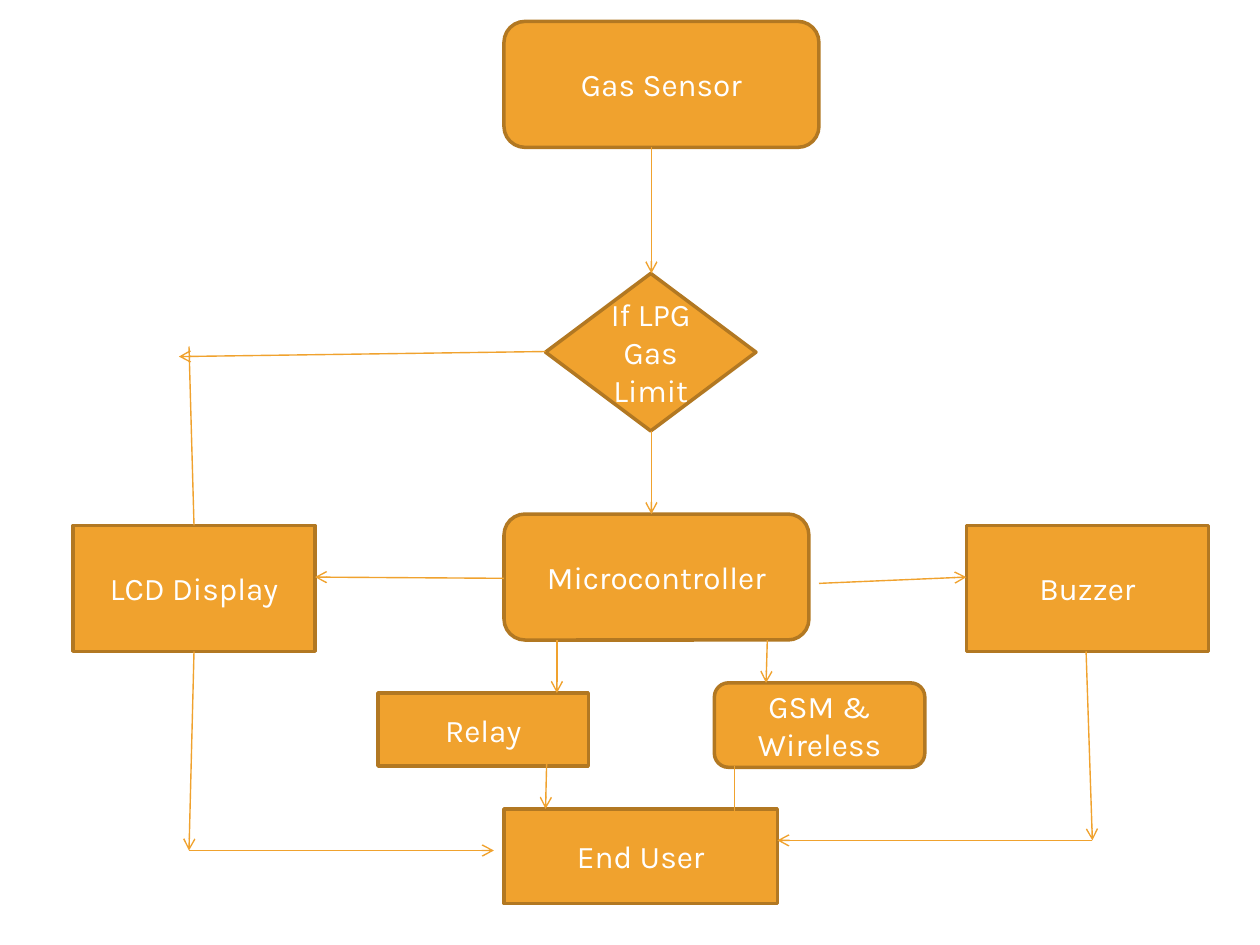
import pptx
import pptx.dml.color
import pptx.enum.shapes
import pptx.enum.text
import pptx.oxml.ns
import pptx.util
from lxml import etree
from dataclasses import dataclass

Inches = pptx.util.Inches
Pt = pptx.util.Pt
Kind = pptx.enum.shapes.MSO_SHAPE


@dataclass(frozen=True)
class Theme:
    """Colours, font and sizes of the flowchart."""
    fill: str = "F0A22E"
    edge: str = "B27822"
    text: str = "FFFFFF"
    font: str = "Karla"
    size: float = 18
    border: float = 2
    line: float = 0.79


THEME = Theme()

# text, kind, left, top, width, height
NODES = [
    ("Gas Sensor", Kind.ROUNDED_RECTANGLE, 4, 0.17, 2.5, 1),
    ("If LPG Gas Limit", Kind.FLOWCHART_DECISION, 4.33, 2.17, 1.67, 1.25),
    ("LCD Display", Kind.RECTANGLE, 0.58, 4.17, 1.92, 1),
    ("Microcontroller", Kind.ROUNDED_RECTANGLE, 4, 4.08, 2.42, 1),
    ("Buzzer", Kind.RECTANGLE, 7.67, 4.17, 1.92, 1),
    ("Relay", Kind.RECTANGLE, 3, 5.5, 1.67, 0.58),
    ("GSM & Wireless", Kind.ROUNDED_RECTANGLE, 5.67, 5.42, 1.67, 0.67),
    ("End User", Kind.RECTANGLE, 4, 6.42, 2.17, 0.75),
]

# start x, start y, end x, end y
ARROWS = [
    (5.17, 1.17, 5.17, 2.17),  # sensor to limit
    (5.17, 3.42, 5.17, 4.08),  # limit to controller
    (4.33, 2.79, 1.42, 2.83),  # limit to display branch
    (4, 4.59, 2.5, 4.58),      # controller to display
    (6.5, 4.63, 7.67, 4.58),   # controller to buzzer
    (4.42, 5.08, 4.42, 5.5),   # controller to relay
    (6.09, 5.08, 6.08, 5.42),  # controller to GSM
    (4.34, 6, 4.33, 6.42),     # relay to user
    (5.83, 6.08, 5.83, 6.58),  # GSM to user
    (1.54, 5.17, 1.5, 6.75),   # display down
    (1.5, 6.75, 3.92, 6.75),   # display branch to user
    (8.62, 5.17, 8.67, 6.67),  # buzzer down
    (8.67, 6.67, 6.17, 6.67),  # buzzer branch to user
]

DISPLAY_LINK = (1.54, 4.17, 1.5, 2.75)


def color(code):
    """Turn a hex code into a colour."""
    return pptx.dml.color.RGBColor.from_string(code)


def add_node(slide, text, kind, *box):
    """Add one filled flowchart node with centred text."""
    node = slide.shapes.add_shape(kind, *map(Inches, box))
    node.shadow.inherit = False
    node.fill.solid()
    node.fill.fore_color.rgb = color(THEME.fill)
    node.line.color.rgb = color(THEME.edge)
    node.line.width = Pt(THEME.border)
    frame = node.text_frame
    frame.text = text
    frame.word_wrap = True
    frame.vertical_anchor = pptx.enum.text.MSO_ANCHOR.MIDDLE
    para = frame.paragraphs[0]
    para.alignment = pptx.enum.text.PP_ALIGN.CENTER
    font = para.runs[0].font
    font.name = THEME.font
    font.size = Pt(THEME.size)
    font.color.rgb = color(THEME.text)


def add_line(slide, ends, arrow=True):
    """Add a straight line, with an arrowhead at its end if asked."""
    line = slide.shapes.add_connector(
        pptx.enum.shapes.MSO_CONNECTOR.STRAIGHT, *map(Inches, ends))
    line.line.color.rgb = color(THEME.fill)
    line.line.width = Pt(THEME.line)
    qn = pptx.oxml.ns.qn
    props = line._element.spPr
    if arrow:
        etree.SubElement(props.find(qn("a:ln")), qn("a:tailEnd"), type="arrow")
    etree.SubElement(props, qn("a:effectLst"))


def main():
    """Build the gas alarm flowchart."""
    deck = pptx.Presentation()
    deck.slide_width, deck.slide_height = Inches(10), Inches(7.5)
    slide = deck.slides.add_slide(deck.slide_layouts[6])
    for node in NODES:
        add_node(slide, *node)
    for ends in ARROWS:
        add_line(slide, ends)
    add_line(slide, DISPLAY_LINK, arrow=False)
    deck.save("out.pptx")


main()
